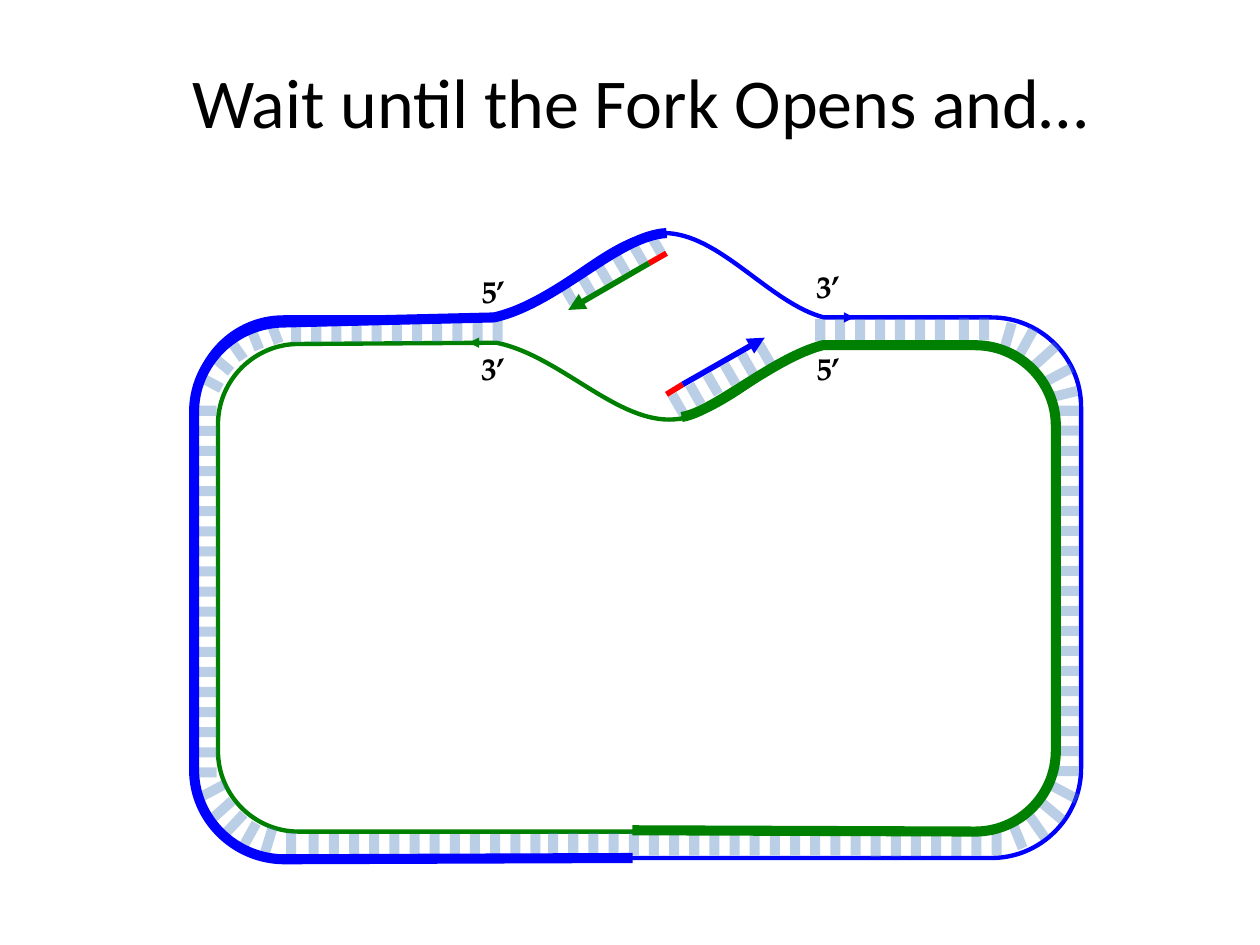
from lxml.etree import SubElement
from pptx import Presentation
from pptx.dml.color import RGBColor
from pptx.enum.shapes import MSO_CONNECTOR, MSO_SHAPE
from pptx.enum.text import MSO_ANCHOR, MSO_AUTO_SIZE, PP_ALIGN
from pptx.oxml.ns import qn
from pptx.util import Inches, Pt

COLUMNS, ROWS = 10, 7.5
SLIDE_WIDTH, SLIDE_HEIGHT = Inches(10), Inches(7.5)
BLACK = RGBColor(0x00, 0x00, 0x00)
WHITE = RGBColor(0xFF, 0xFF, 0xFF)
BLUE = RGBColor(0x00, 0x00, 0xFF)
GREEN = RGBColor(0x00, 0x80, 0x00)
RED = RGBColor(0xFF, 0x00, 0x00)
RUNG_BLUE = RGBColor(0x4F, 0x81, 0xBD)
RUNG_ALPHA = 39000
RUNG_WIDTH, RUNG_LENGTH = 0.08, 0.18
THIN, PRIMER, THICK = 2.5, 3.25, 5.75
CORNER_PULL = 0.55

RUNG_ROWS = [
    ((4.35, 6.61), (6.75, 6.61), 16, 0),
    ((2.45, 6.62), (4.21, 6.62), 12, 0),
    ((2.27, 6.61), (2.27, 6.61), 1, 0),
    ((6.91, 6.62), (7.87, 6.61), 7, 0),
    ((8.43, 3.17), (8.43, 6.03), 19, 90),
    ((1.59, 3.17), (1.59, 6.04), 19, 90),
    ((2.31, 2.54), (3.91, 2.53), 11, 0),
    ((6.47, 2.53), (7.42, 2.53), 7, 0),
    ((7.61, 2.52), (7.77, 2.52), 2, 0),
    ((5.16, 1.84), (4.47, 2.24), 6, 329.6),
    ((5.34, 3.12), (6.03, 2.72), 6, 149.9),
]
CORNER_RUNGS = [
    (2.09, 6.57, 0.22, 17), (1.94, 6.52, 0.22, 29), (1.82, 6.43, 0.22, 43),
    (1.72, 6.32, 0.22, 48), (1.64, 6.17, 0.22, 62),
    (8.04, 6.54, 0.2, 338), (8.19, 6.45, 0.22, 145), (8.31, 6.33, 0.22, 130),
    (8.41, 6.18, 0.22, 118),
    (7.96, 2.56, 0.22, 16), (8.11, 2.6, 0.22, 29), (8.26, 2.7, 0.24, 48),
    (8.37, 2.86, 0.22, 62), (8.4, 3.02, 0.22, 76),
    (2.14, 2.55, 0.18, 339), (1.98, 2.58, 0.2, 158), (1.83, 2.65, 0.22, 325),
    (1.71, 2.77, 0.22, 310), (1.62, 2.92, 0.22, 298),
]
PRIMERS = [
    ((5.15, 2.09), (5.29, 2.01), RED, PRIMER, False),
    ((5.15, 2.09), (4.51, 2.46), GREEN, PRIMER, True),
    ((5.42, 3.05), (5.29, 3.13), RED, PRIMER, False),
    ((5.42, 3.05), (6.07, 2.68), BLUE, PRIMER, True),
]
STRAND_ENDS = [
    ((3.85, 2.72), (3.72, 2.72), GREEN, 1, True),
    ((6.64, 2.52), (6.78, 2.52), BLUE, 1, True),
]
END_LABELS = [("3’", 6.38, 2.07), ("3’", 3.72, 2.72),
              ("5’", 6.38, 2.72), ("5’", 3.72, 2.11)]


def grid(*cells):
    """Turn alternating column and row counts into slide lengths."""
    units = (SLIDE_WIDTH / COLUMNS, SLIDE_HEIGHT / ROWS)
    return [round(cell * units[index % 2]) for index, cell in enumerate(cells)]


def corner(start, apex, end):
    """Return the curve that rounds off the corner at apex."""
    controls = [tuple(a + CORNER_PULL * (b - a) for a, b in zip(point, apex))
                for point in (start, end)]
    return [*controls, end]


def add_strand(slide, start, segments, color, width, closed=False):
    """Draw a strand from segments of one point (line) or three (curve)."""
    builder = slide.shapes.build_freeform(*grid(*start))
    points = [tuple(grid(*point)) for segment in segments for point in segment]
    builder.add_line_segments(points, close=closed)
    shape = builder.convert_to_shape()
    shape.shadow.inherit = False
    shape.line.color.rgb = color
    shape.line.width = Pt(width)
    if closed:
        shape.fill.solid()
        shape.fill.fore_color.rgb = WHITE
    else:
        shape.fill.background()
    steps = iter(shape.element.xpath(".//a:lnTo"))
    for segment in segments:
        first, *others = [next(steps) for _ in segment]
        if others:
            curve = first.makeelement(qn("a:cubicBezTo"))
            first.addprevious(curve)
            for step in (first, *others):
                curve.append(step[0])
                step.getparent().remove(step)


def add_rung(slide, left, top, length, rotation):
    """Draw one translucent base-pair rung."""
    shape = slide.shapes.add_shape(
        MSO_SHAPE.RECTANGLE, *grid(left, top, RUNG_WIDTH, length))
    shape.rotation = rotation
    shape.shadow.inherit = False
    shape.line.fill.background()
    shape.fill.solid()
    shape.fill.fore_color.rgb = RUNG_BLUE
    color = shape.element.spPr.find(qn("a:solidFill"))[0]
    SubElement(color, qn("a:alpha"), val=str(RUNG_ALPHA))


def add_rung_row(slide, first, last, count, rotation):
    """Space rungs evenly from the first place to the last."""
    for index in range(count):
        share = index / max(count - 1, 1)
        left, top = (a + share * (b - a) for a, b in zip(first, last))
        add_rung(slide, left, top, RUNG_LENGTH, rotation)


def add_line(slide, start, end, color, width, arrow):
    """Draw a straight line, with an arrowhead at its end if asked."""
    line = slide.shapes.add_connector(
        MSO_CONNECTOR.STRAIGHT, *grid(*start), *grid(*end))
    line.line.color.rgb = color
    line.line.width = Pt(width)
    if arrow:
        SubElement(line.line._get_or_add_ln(), qn("a:tailEnd"), type="triangle")
    SubElement(line.element.spPr, qn("a:effectLst"))


def add_label(slide, text, left, top):
    """Label the end of a strand."""
    frame = slide.shapes.add_textbox(*grid(left, top, 0.56, 0.4)).text_frame
    frame.word_wrap = True
    frame.auto_size = MSO_AUTO_SIZE.SHAPE_TO_FIT_TEXT
    paragraph = frame.paragraphs[0]
    paragraph.text = text
    format_font(paragraph.font, "TeX Gyre Pagella", 18, True)


def format_font(font, name, size, bold):
    """Set the face, size and weight of black text."""
    font.name, font.size, font.bold = name, Pt(size), bold
    font.color.rgb = BLACK


def add_title(slide, text):
    """Place and format the slide title."""
    title = slide.shapes.title
    title.left, title.top, title.width, title.height = grid(0.33, 0.17, 9.5, 1.25)
    title.text_frame.vertical_anchor = MSO_ANCHOR.MIDDLE
    paragraph = title.text_frame.paragraphs[0]
    paragraph.text = text
    paragraph.alignment = PP_ALIGN.CENTER
    format_font(paragraph.font, "Calibri", 40, False)


def add_ring(slide, left, top, right, bottom, radius, fork, color):
    """Draw a closed thin strand whose top side opens into the fork."""
    x1, x2 = left + radius, right - radius
    y1, y2 = top + radius, bottom - radius
    add_strand(slide, (left, y1), [
        corner((left, y1), (left, top), (x1, top)), *fork, [(x2, top)],
        corner((x2, top), (right, top), (right, y1)), [(right, y2)],
        corner((right, y2), (right, bottom), (x2, bottom)), [(x1, bottom)],
        corner((x1, bottom), (left, bottom), (left, y2)), [(left, y1)],
    ], color, THIN, closed=True)


def main():
    """Build the replication fork slide."""
    presentation = Presentation()
    presentation.slide_width, presentation.slide_height = SLIDE_WIDTH, SLIDE_HEIGHT
    slide = presentation.slides.add_slide(presentation.slide_layouts[5])
    add_title(slide, "Wait until the Fork Opens and…")
    add_ring(slide, 1.54, 2.52, 8.58, 6.81, 0.71, [
        [(3.91, 2.52)], [(4.41, 2.41), (4.83, 1.85), (5.27, 1.85)],
        [(5.71, 1.85), (6.11, 2.41), (6.54, 2.52)]], BLUE)
    add_ring(slide, 1.73, 2.73, 8.38, 6.6, 0.64, [
        [(3.94, 2.72)], [(4.43, 2.82), (4.87, 3.33), (5.31, 3.33)],
        [(5.74, 3.33), (6.13, 2.83), (6.54, 2.73)]], GREEN)
    for row in RUNG_ROWS:
        add_rung_row(slide, *row)
    for rung in CORNER_RUNGS:
        add_rung(slide, *rung)
    for primer in PRIMERS:
        add_line(slide, *primer)
    add_strand(slide, (5.41, 3.31), [
        [(5.67, 3.27), (6.14, 2.84), (6.53, 2.74)], [(7.74, 2.74)],
        corner((7.74, 2.74), (8.38, 2.74), (8.38, 3.38)), [(8.38, 5.96)],
        corner((8.38, 5.96), (8.38, 6.6), (7.74, 6.6)), [(5.02, 6.59)],
    ], GREEN, THICK)
    for strand_end in STRAND_ENDS:
        add_line(slide, *strand_end)
    add_strand(slide, (5.02, 6.81), [
        [(2.26, 6.82)], corner((2.26, 6.82), (1.54, 6.82), (1.54, 6.11)),
        [(1.54, 3.27)], corner((1.54, 3.27), (1.54, 2.56), (2.26, 2.56)),
        [(3.92, 2.52)], [(4.42, 2.41), (4.9, 1.87), (5.29, 1.85)],
    ], BLUE, THICK)
    for label in END_LABELS:
        add_label(slide, *label)
    presentation.save("out.pptx")


if __name__ == "__main__":
    main()
